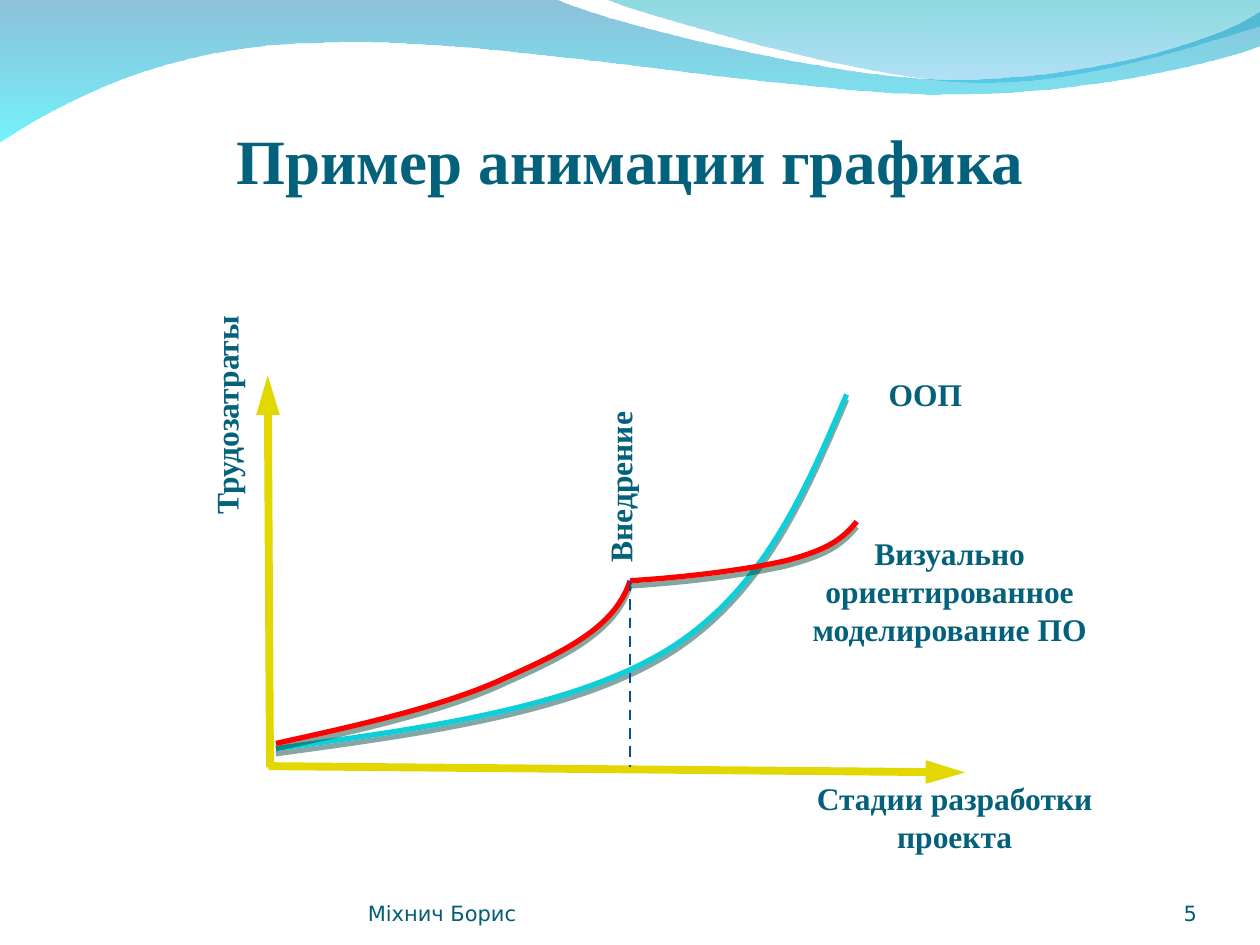
from lxml.etree import SubElement
from pptx import Presentation
from pptx.dml.color import RGBColor
from pptx.enum.dml import MSO_LINE
from pptx.enum.shapes import MSO_CONNECTOR
from pptx.enum.text import MSO_ANCHOR as Anchor, PP_ALIGN as Align
from pptx.oxml.ns import qn
from pptx.util import Pt

COLORS = {
    "title": "04617B", "footer": "045C75", "axis": "E2D700", "marker": "065093",
    "oop": "0BD0D9", "oop_shadow": "004548",
    "visual": "FF0000", "visual_shadow": "004531",
    "wave_blue": "0079AF", "wave_aqua": "00EBF8",
    "crest_teal": "00ADB6", "crest_blue": "009BE5",
}
SERIF, SANS = "Times New Roman", "DejaVu Sans"

# Outlines: a start point, then segments of one point (line) or three (Bezier curve).
# Gradient stops: colour, opacity in percent.
WAVES = [
    ((0, -0.7), [
        [(317, -0.7)],
        [(343, 12.2), (478, 45.4), (546, 45.4)],
        [(614, 45.4), (690, 26.6), (720, 6.5)],
        [(720.7, 25.9)],
        [(708, 31.7), (626.4, 54.7), (537.1, 54)],
        [(447.8, 54), (275, 20.2), (185, 24.5)],
        [(92.9, 25.2), (33.1, 59.8), (-0.7, 81.4)],
    ], [("wave_blue", 45), ("wave_aqua", 55)]),
    ((344.9, -0.7), [
        [(366.5, 7.9), (491, 44.6), (553.7, 46.8)],
        [(616.3, 49.7), (691.9, 23), (720, 15.1)],
        [(720, 0)],
    ], [("crest_teal", 45), ("crest_blue", 30)]),
]

AXES = [
    ((153.4, 437.8), (551.5, 441.4)),
    ((154.3, 438.5), (153, 214.6)),
]
RELEASE = (360, 331.9)
RELEASE_FOOT = (360, 438.5)

OOP_CURVE = ((157.7, 427.7), [
    [(242.6, 416.2), (327.6, 404.6), (382.3, 370.8)],
    [(436.3, 337), (460.1, 280.8), (483.8, 225.4)],
])
VISUAL_LATE = (RELEASE, [
    [(393.8, 329.8), (427.7, 325.4), (449.3, 320.4)],
    [(470.9, 314.6), (480.2, 309.6), (489.6, 298.1)],
])
VISUAL_EARLY = ((157.7, 424.8), [
    [(206.6, 414), (254.9, 403.2), (288.7, 387.4)],
    [(322.6, 372.2), (351.4, 358.6), RELEASE],
])

# Text, (left, top, width, height), rotation
LABELS = [
    ("Трудозатраты", (55.4, 220.3, 147.6, 33.8), 270),
    ("Стадии разработки проекта", (444.4, 450, 202.3, 33.8), 0),
    ("Визуально ориентированное моделирование ПО", (438.7, 309.6, 208, 56.2), 0),
    ("ООП", (461.5, 208, 134.6, 33.8), 0),
    ("Внедрение", (289.4, 261.4, 129.6, 33.8), 270),
]


def rgb(name):
    return RGBColor.from_string(COLORS[name])


def add_outline(slide, start, segments, close):
    """Lay out every point as a line, then merge each curve's three into one Bezier."""
    points = [point for segment in segments for point in segment]
    builder = slide.shapes.build_freeform(Pt(start[0]), Pt(start[1]))
    builder.add_line_segments([(Pt(x), Pt(y)) for x, y in points], close=close)
    shape = builder.convert_to_shape()
    shape.shadow.inherit = False

    steps = iter(list(shape._element.spPr.iter(qn("a:lnTo"))))
    for segment in segments:
        first, *others = [next(steps) for _ in segment]
        if others:
            first.tag = qn("a:cubicBezTo")
            for other in others:
                first.append(other[0])
                other.getparent().remove(other)
    return shape


def set_alpha(color_element, percent):
    SubElement(color_element, qn("a:alpha"), val=str(percent * 1000))


def add_wave(slide, start, segments, stops):
    shape = add_outline(slide, start, segments, True)
    shape.line.fill.background()
    shape.fill.gradient()
    shape.fill.gradient_angle = 270
    for stop, (color, _) in zip(shape.fill.gradient_stops, stops):
        stop.color.rgb = rgb(color)
    color_elements = shape._element.spPr.iter(qn("a:srgbClr"))
    for element, (_, opacity) in zip(list(color_elements), stops):
        set_alpha(element, opacity)


def add_curve(slide, curve, color):
    """Draw an open curve with a hard shadow just below it."""
    shape = add_outline(slide, *curve, False)
    shape.fill.background()
    shape.line.color.rgb = rgb(color)
    shape.line.width = Pt(3)
    effects = shape._element.spPr.find(qn("a:effectLst"))
    shadow = SubElement(effects, qn("a:outerShdw"), blurRad="0", dist=str(Pt(3)),
                        dir="5400000", algn="ctr", rotWithShape="0")
    set_alpha(SubElement(shadow, qn("a:srgbClr"), val=COLORS[color + "_shadow"]), 48)


def add_line(slide, start, end, color, width):
    line = slide.shapes.add_connector(MSO_CONNECTOR.STRAIGHT,
                                      *(Pt(value) for value in (*start, *end)))
    line.line.color.rgb = rgb(color)
    line.line.width = Pt(width)
    SubElement(line._element.spPr, qn("a:effectLst"))
    return line


def add_text(slide, text, box, size, font=SERIF, color="title", bold=True, align=Align.CENTER,
             anchor=Anchor.MIDDLE, insets=(7.2, 3.6, 7.2, 3.6), rotation=0):
    shape = slide.shapes.add_textbox(*(Pt(value) for value in box))
    shape.rotation = rotation
    frame = shape.text_frame
    frame.word_wrap = True
    frame.vertical_anchor = anchor
    (frame.margin_left, frame.margin_top,
     frame.margin_right, frame.margin_bottom) = (Pt(value) for value in insets)
    paragraph = frame.paragraphs[0]
    paragraph.text = text
    paragraph.alignment = align
    paragraph.font.name = font
    paragraph.font.size = Pt(size)
    paragraph.font.bold = bold
    paragraph.font.color.rgb = rgb(color)


def main():
    presentation = Presentation()
    presentation.slide_width, presentation.slide_height = Pt(720), Pt(540)
    slide = presentation.slides.add_slide(presentation.slide_layouts[6])

    for wave in WAVES:
        add_wave(slide, *wave)
    add_text(slide, "Пример анимации графика", (0, 45, 720, 67.7), 36,
             anchor=Anchor.BOTTOM, insets=(0, 3.6, 0, 0))

    for start, end in AXES:
        axis = add_line(slide, start, end, "axis", 4.5)
        SubElement(axis.line._get_or_add_ln(), qn("a:tailEnd"),
                   type="triangle", w="med", len="lg")
    add_curve(slide, OOP_CURVE, "oop")
    add_curve(slide, VISUAL_LATE, "visual")
    add_curve(slide, VISUAL_EARLY, "visual")
    marker = add_line(slide, RELEASE, RELEASE_FOOT, "marker", 1.5)
    marker.line.dash_style = MSO_LINE.DASH

    for text, box, rotation in LABELS:
        add_text(slide, text, box, 18, rotation=rotation)
    for text, left, width, align in [("Міхнич Борис", 210.2, 264.2, Align.LEFT),
                                     ("5", 624.2, 59.8, Align.RIGHT)]:
        add_text(slide, text, (left, 500.4, width, 28.8), 12, SANS, "footer", False,
                 align, Anchor.BOTTOM, (0, 0, 0, 0))
    presentation.save("out.pptx")


if __name__ == "__main__":
    main()
